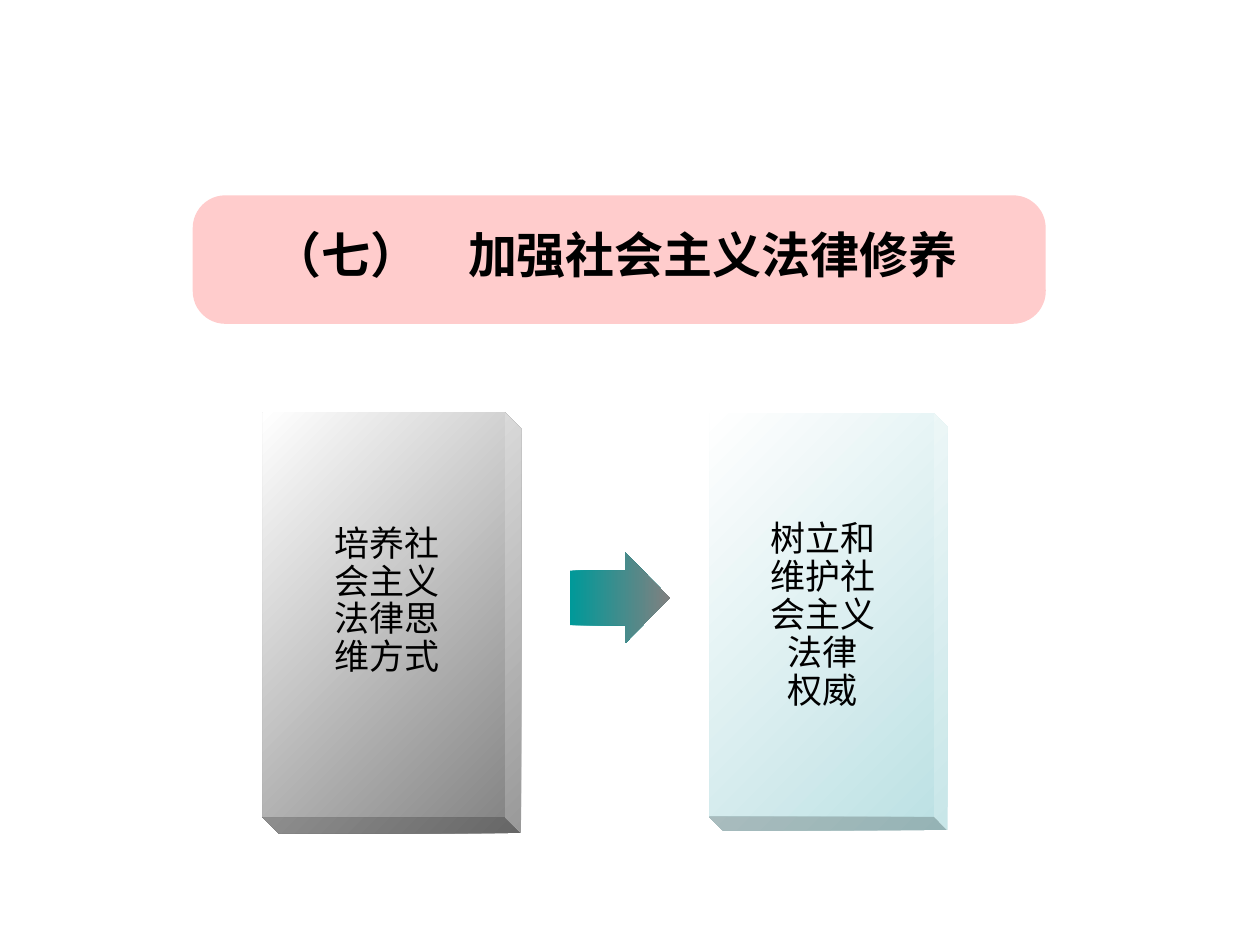
from dataclasses import dataclass

from pptx import Presentation
from pptx.dml.color import RGBColor
from pptx.enum.shapes import MSO_SHAPE as SHAPE
from pptx.enum.text import MSO_ANCHOR as ANCHOR, PP_ALIGN as ALIGN
from pptx.oxml.ns import qn
from pptx.util import Inches, Pt


@dataclass(frozen=True)
class Theme:
    font: str = "Arial"
    title_size: int = 28
    body_size: int = 20
    text: str = "000000"
    banner: str = "FFCCCC"
    white: str = "FFFFFF"
    gray: str = "808080"
    aqua: str = "BBE0E3"
    teal: str = "009999"


class SlideBuilder:
    def __init__(self, slide, theme):
        self.slide = slide
        self.theme = theme

    def shape(self, kind, box, adjustments, rotation=0):
        s = self.slide.shapes.add_shape(kind, *map(Inches, box))
        s.shadow.inherit = False
        s.line.fill.background()
        s.rotation = rotation
        for i, value in enumerate(adjustments):
            s.adjustments[i] = value
        return s

    def banner(self, box, color):
        s = self.shape(SHAPE.ROUNDED_RECTANGLE, box, [0.254])
        s.fill.solid()
        s.fill.fore_color.rgb = RGBColor.from_string(color)

    def gradient(self, s, colors, angle):
        s.fill.gradient()
        s.fill.gradient_angle = angle
        for stop, color in zip(s.fill.gradient_stops, colors):
            stop.color.rgb = RGBColor.from_string(color)
        # Keep the gradient direction fixed while the shape is turned
        s._element.spPr.find(qn("a:gradFill")).set("rotWithShape", "0")

    def block(self, box, depth, color):
        s = self.shape(SHAPE.CUBE, box, [depth], rotation=90)
        self.gradient(s, (color, self.theme.white), 135)

    def arrow(self, box, colors):
        s = self.shape(SHAPE.UP_ARROW, box, [0.601, 0.491], rotation=270)
        s._element.spPr.xfrm.set("flipV", "1")
        self.gradient(s, colors, 0)

    def text(self, box, text, size, margins, bold=False, spacing=1.0):
        tf = self.slide.shapes.add_textbox(*map(Inches, box)).text_frame
        side, edge = map(Inches, margins)
        frame_format = {
            "word_wrap": True, "vertical_anchor": ANCHOR.MIDDLE,
            "margin_left": side, "margin_right": side,
            "margin_top": edge, "margin_bottom": edge,
        }
        for name, value in frame_format.items():
            setattr(tf, name, value)
        p = tf.paragraphs[0]
        p.text = text
        p.alignment = ALIGN.CENTER
        p.line_spacing = spacing
        font_format = {"name": self.theme.font, "size": Pt(size), "bold": bold}
        for r in p.runs:
            for name, value in font_format.items():
                setattr(r.font, name, value)
            r.font.color.rgb = RGBColor.from_string(self.theme.text)


def main():
    theme = Theme()
    prs = Presentation()
    prs.slide_width, prs.slide_height = Inches(10), Inches(7.5)
    b = SlideBuilder(prs.slides.add_slide(prs.slide_layouts[6]), theme)

    # Title banner
    b.banner((1.53, 1.55, 6.77, 1.02), theme.banner)
    b.text((1.77, 1.7, 6.22, 0.63), "（七）　加强社会主义法律修养",
           theme.title_size, (0.1, 0.05), bold=True)

    # Two blocks and the arrow between them
    b.block((1.44, 3.92, 3.34, 2.05), 0.062, theme.gray)
    b.block((4.92, 3.99, 3.31, 1.89), 0.056, theme.aqua)
    b.arrow((4.56, 4.35, 0.72, 0.79), (theme.teal, theme.gray))

    # Block labels
    labels = [
        ((2.56, 3.75, 1.02, 2.05), "培养社会主义法律思维方式"),
        ((6.02, 3.75, 1.02, 2.28), "树立和维护社会主义法律\n权威"),
    ]
    for box, label in labels:
        b.text(box, label, theme.body_size, (0.02, 0.01), spacing=0.9)

    prs.save("out.pptx")


if __name__ == "__main__":
    main()
